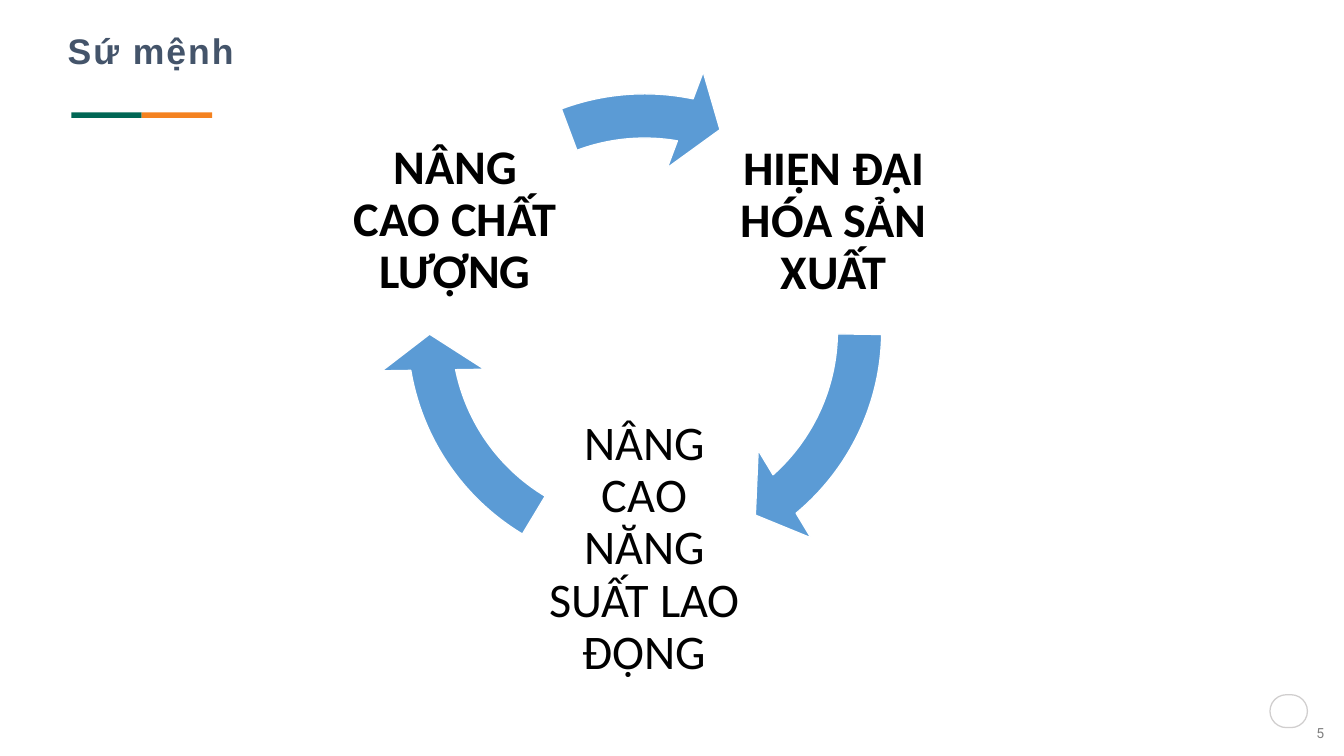
from dataclasses import dataclass
from math import cos, radians, sin

from pptx import Presentation
from pptx.dml.color import RGBColor
from pptx.enum.shapes import MSO_SHAPE
from pptx.enum.text import MSO_ANCHOR, MSO_AUTO_SIZE, PP_ALIGN
from pptx.shapes.autoshape import Shape
from pptx.slide import Slide
from pptx.text.text import TextFrame
from pptx.util import Pt

SCALE = 9144


@dataclass(frozen=True)
class Theme:
    title: str = "44546A"
    green: str = "016755"
    orange: str = "F48220"
    arrow: str = "5B9BD5"
    edge: str = "FFFFFF"
    badge: str = "D0CECE"
    label: str = "000000"
    number: str = "808080"
    title_size: int = 28
    label_size: int = 38
    number_size: int = 11


@dataclass(frozen=True)
class Box:
    left: int
    top: int
    width: int
    height: int

    def emu(self) -> tuple[int, int, int, int]:
        return (self.left * SCALE, self.top * SCALE,
                self.width * SCALE, self.height * SCALE)


@dataclass(frozen=True)
class Font:
    name: str
    size: int
    color: str
    bold: bool = False


@dataclass(frozen=True)
class Stage:
    text: str
    bold: bool
    angle: int
    start: float
    end: float


@dataclass(frozen=True)
class Bar:
    box: Box
    color: str


THEME = Theme()
CENTER_X, CENTER_Y = 705, 362
RADIUS = 239
LABEL = 246
RING = 582
BAND, HEAD, TIP = 8.3, 9.6, 9.6

BARS = [
    Bar(Box(78, 123, 77, 6), THEME.green),
    Bar(Box(155, 123, 77, 6), THEME.orange),
]
STAGES = [
    Stage("HIỆN ĐẠI HÓA SẢN XUẤT", True, -30, 0.88, 49.37),
    Stage("NÂNG CAO NĂNG SUẤT LAO ĐỘNG", False, 90, 121.02, 169.52),
    Stage("NÂNG CAO CHẤT LƯỢNG", True, 210, 249.47, 280.92),
]


def write(frame: TextFrame, text: str, font: Font, align: PP_ALIGN,
          anchor: MSO_ANCHOR, inset: int = 0, space: float = 1.0) -> None:
    frame.text = text
    frame.word_wrap = True
    frame.auto_size = MSO_AUTO_SIZE.NONE
    frame.vertical_anchor = anchor
    frame.margin_left = frame.margin_right = inset * SCALE
    frame.margin_top = frame.margin_bottom = inset * SCALE
    line = frame.paragraphs[0]
    line.alignment = align
    line.line_spacing = space
    run = line.runs[0]
    run.font.name = font.name
    run.font.size = Pt(font.size)
    run.font.bold = font.bold
    run.font.color.rgb = RGBColor.from_string(font.color)


def draw(slide: Slide, kind: MSO_SHAPE, box: Box,
         fill: str = "", edge: str = "") -> Shape:
    shape = slide.shapes.add_shape(kind, *box.emu())
    shape.shadow.inherit = False
    if fill:
        shape.fill.solid()
        shape.fill.fore_color.rgb = RGBColor.from_string(fill)
    else:
        shape.fill.background()
    if edge:
        shape.line.color.rgb = RGBColor.from_string(edge)
        shape.line.width = Pt(1)
    else:
        shape.line.fill.background()
    return shape


def add_title(slide: Slide) -> None:
    title = slide.shapes.title
    title.left, title.top, title.width, title.height = Box(74, 37, 1315, 61).emu()
    font = Font("Arial", THEME.title_size, THEME.title, True)
    write(title.text_frame, "Sứ mệnh", font, PP_ALIGN.LEFT, MSO_ANCHOR.TOP, space=0.9)
    run = title.text_frame.paragraphs[0].runs[0]
    run._r.get_or_add_rPr().set("spc", "160")


def add_label(slide: Slide, stage: Stage) -> None:
    turn = radians(stage.angle)
    left = round(CENTER_X + RADIUS * cos(turn) - LABEL / 2)
    top = round(CENTER_Y + RADIUS * sin(turn) - LABEL / 2)
    label = slide.shapes.add_textbox(*Box(left, top, LABEL, LABEL).emu())
    font = Font("Calibri", THEME.label_size, THEME.label, stage.bold)
    write(label.text_frame, stage.text, font, PP_ALIGN.CENTER,
          MSO_ANCHOR.MIDDLE, inset=5, space=0.9)


def add_arrow(slide: Slide, stage: Stage) -> None:
    box = Box(CENTER_X - RING // 2, CENTER_Y - RING // 2, RING, RING)
    arrow = draw(slide, MSO_SHAPE.CIRCULAR_ARROW, box, THEME.arrow, THEME.edge)
    values = [BAND / 100, HEAD * 0.6, stage.end * 0.6, stage.start * 0.6, TIP / 100]
    for index, value in enumerate(values):
        arrow.adjustments[index] = value


def add_number(slide: Slide) -> None:
    badge = draw(slide, MSO_SHAPE.ROUNDED_RECTANGLE, Box(1389, 760, 41, 36),
                 edge=THEME.badge)
    badge.adjustments[0] = 0.5
    number = slide.shapes.add_textbox(*Box(1418, 778, 52, 47).emu())
    font = Font("Roboto", THEME.number_size, THEME.number)
    write(number.text_frame, "5", font, PP_ALIGN.CENTER, MSO_ANCHOR.MIDDLE)


def main() -> None:
    deck = Presentation()
    deck.slide_width, deck.slide_height = 1470 * SCALE, 827 * SCALE
    slide = deck.slides.add_slide(deck.slide_layouts[5])
    add_title(slide)
    for bar in BARS:
        draw(slide, MSO_SHAPE.RECTANGLE, bar.box, bar.color)
    add_number(slide)
    for stage in STAGES:
        add_label(slide, stage)
        add_arrow(slide, stage)
    deck.save("out.pptx")


if __name__ == "__main__":
    main()
